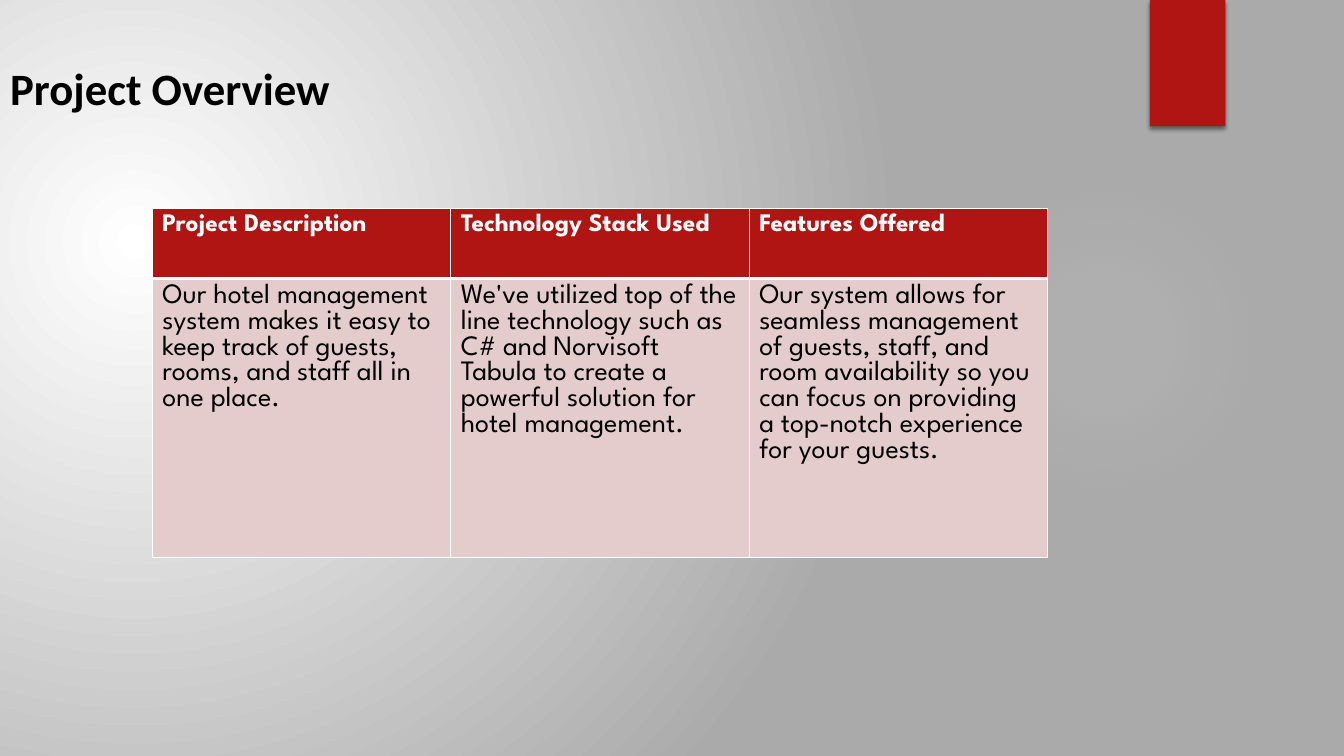
from dataclasses import dataclass

from lxml import etree
from pptx import Presentation
from pptx.dml.color import RGBColor
from pptx.enum.shapes import MSO_SHAPE
from pptx.enum.text import MSO_ANCHOR, MSO_AUTO_SIZE, PP_ALIGN
from pptx.oxml import parse_xml
from pptx.oxml.ns import nsdecls
from pptx.util import Cm, Pt

RECTANGLE = MSO_SHAPE.RECTANGLE
ELLIPSE = MSO_SHAPE.OVAL
LEFT = PP_ALIGN.LEFT
TOP = MSO_ANCHOR.TOP
GROW = MSO_AUTO_SIZE.SHAPE_TO_FIT_TEXT

RED = RGBColor(0xB0, 0x15, 0x13)
PINK = RGBColor(0xE4, 0xCC, 0xCC)
WHITE = RGBColor(0xFF, 0xFF, 0xFF)
BLACK = RGBColor(0, 0, 0)
GREY = RGBColor(0xAA, 0xAA, 0xAA)
PALE = RGBColor(0xF3, 0xF3, 0xF3)

TITLE_FONT = "Calibri"
TABLE_FONT = "League Spartan"
TITLE_ONLY = 5
COLUMN_WIDTH = Cm(7.52)


@dataclass(frozen=True)
class Stop:
    position: int
    color: RGBColor
    opacity: int = 100


@dataclass(frozen=True)
class Row:
    height: Cm
    texts: tuple[str, ...]
    fill: RGBColor
    color: RGBColor
    size: int
    bold: bool
    bottom_width: int


ROWS = (
    Row(Cm(1.76), ("Project Description", "Technology Stack Used", "Features Offered"),
        RED, WHITE, 18, True, 3),
    Row(Cm(7.03), (
        "Our hotel management system makes it easy to keep track of guests, rooms, "
        "and staff all in one place.",
        "We've utilized top of the line technology such as C# and Norvisoft Tabula "
        "to create a powerful solution for hotel management.",
        "Our system allows for seamless management of guests, staff, and room "
        "availability so you can focus on providing a top-notch experience for your guests.",
    ), PINK, BLACK, 20, False, 1),
)


def write_text(frame, text: str, *, font: str, size: int, color: RGBColor, bold: bool) -> None:
    frame.word_wrap = True
    para = frame.paragraphs[0]
    para.alignment = LEFT
    span = para.add_run()
    span.text = text
    span.font.name = font
    span.font.size = Pt(size)
    span.font.color.rgb = color
    span.font.bold = bold


def set_radial_fill(holder, stops: tuple[Stop, ...], focus: tuple[int, int, int, int]) -> None:
    stop_xml = "".join(
        f'<a:gs pos="{stop.position * 1000}"><a:srgbClr val="{stop.color}">'
        f'<a:alpha val="{stop.opacity * 1000}"/></a:srgbClr></a:gs>'
        for stop in stops
    )
    left, top, right, bottom = (side * 1000 for side in focus)
    gradient = parse_xml(
        f'<a:gradFill {nsdecls("a")} rotWithShape="1"><a:gsLst>{stop_xml}</a:gsLst>'
        f'<a:path path="circle"><a:fillToRect l="{left}" t="{top}" r="{right}" b="{bottom}"/>'
        f'</a:path></a:gradFill>'
    )
    solid = holder.xpath(".//a:solidFill")[0]
    solid.getparent().replace(solid, gradient)


def add_plain_shape(page, kind, left: Cm, top: Cm, width: Cm, height: Cm, color: RGBColor):
    shape = page.shapes.add_shape(kind, left, top, width, height)
    shape.shadow.inherit = False
    shape.fill.solid()
    shape.fill.fore_color.rgb = color
    shape.line.fill.background()
    return shape


def add_drop_shadow(shape) -> None:
    effects = shape._element.spPr.xpath("./a:effectLst")[0]
    effects.append(parse_xml(
        f'<a:outerShdw {nsdecls("a")} blurRad="{Pt(3)}" dist="{Pt(2)}" dir="5400000" '
        f'rotWithShape="0"><a:srgbClr val="{BLACK}"><a:alpha val="45000"/></a:srgbClr>'
        f'</a:outerShdw>'
    ))


def set_borders(cell, widths: dict[str, int]) -> None:
    properties = cell._tc.get_or_add_tcPr()
    for index, (side, width) in enumerate(widths.items()):
        border: etree._Element = parse_xml(
            f'<a:ln{side} {nsdecls("a")} w="{Pt(width)}"><a:solidFill>'
            f'<a:srgbClr val="{WHITE}"/></a:solidFill></a:ln{side}>'
        )
        properties.insert(index, border)


def add_overview_table(page) -> None:
    columns = len(ROWS[0].texts)
    height = sum(row.height for row in ROWS)
    table = page.shapes.add_table(
        len(ROWS), columns, Cm(3.84), Cm(5.26), COLUMN_WIDTH * columns, height
    ).table
    for column in table.columns:
        column.width = COLUMN_WIDTH
    top_width = 1
    for row_index, row in enumerate(ROWS):
        table.rows[row_index].height = row.height
        for column_index, text in enumerate(row.texts):
            cell = table.cell(row_index, column_index)
            cell.fill.solid()
            cell.fill.fore_color.rgb = row.fill
            cell.vertical_anchor = TOP
            write_text(cell.text_frame, text, font=TABLE_FONT, size=row.size,
                       color=row.color, bold=row.bold)
            set_borders(cell, {"L": 1, "R": 1, "T": top_width, "B": row.bottom_width})
        top_width = row.bottom_width


def add_title(page) -> None:
    title = page.shapes.title
    title.left, title.top, title.width, title.height = Cm(0), Cm(1.4), Cm(16.93), Cm(1.62)
    title.text_frame.auto_size = GROW
    title.text_frame.vertical_anchor = TOP
    write_text(title.text_frame, "Project Overview", font=TITLE_FONT, size=32,
               color=BLACK, bold=True)


def main() -> None:
    deck = Presentation()
    deck.slide_width, deck.slide_height = Cm(33.87), Cm(19.05)
    page = deck.slides.add_slide(deck.slide_layouts[TITLE_ONLY])

    page.background.fill.solid()
    page.background.fill.fore_color.rgb = GREY
    set_radial_fill(page._element.cSld.bg, (Stop(0, WHITE), Stop(100, GREY)),
                    (45, 65, 125, 100))

    glow = add_plain_shape(page, ELLIPSE, Cm(23.9), Cm(4.65), Cm(7.82), Cm(7.82), PALE)
    set_radial_fill(glow._element.spPr,
                    (Stop(0, PALE, 7), Stop(36, PALE, 6), Stop(69, PALE, 0)),
                    (50, 50, 50, 50))
    ribbon = add_plain_shape(page, RECTANGLE, Cm(28.98), Cm(0), Cm(1.9), Cm(3.18), RED)
    add_drop_shadow(ribbon)

    add_title(page)
    add_overview_table(page)
    deck.save("out.pptx")


if __name__ == "__main__":
    main()
